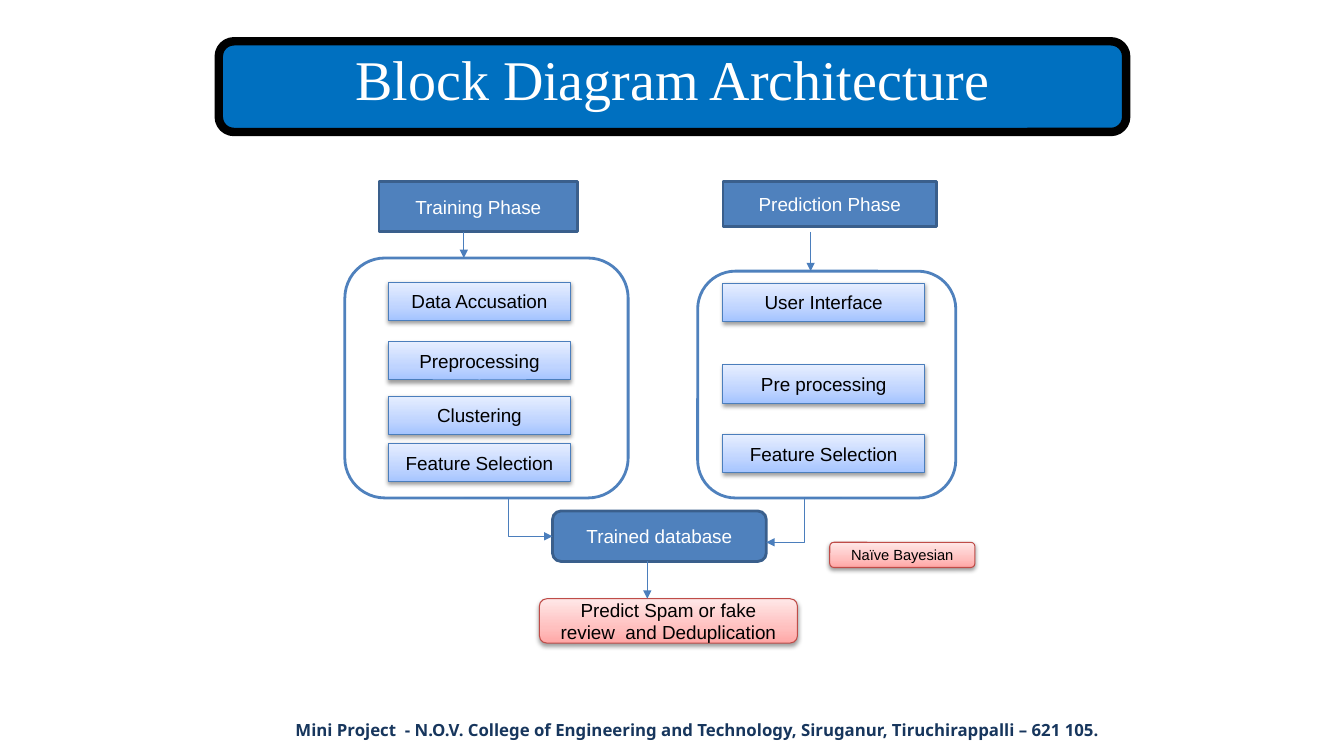
from lxml import etree
from pptx import Presentation
from pptx.dml.color import RGBColor
from pptx.enum.shapes import MSO_CONNECTOR, MSO_SHAPE
from pptx.enum.text import MSO_ANCHOR, PP_ALIGN
from pptx.oxml import parse_xml
from pptx.oxml.ns import nsdecls, qn
from pptx.util import Inches, Pt

RECT = MSO_SHAPE.RECTANGLE
ROUNDED = MSO_SHAPE.ROUNDED_RECTANGLE
STRAIGHT = MSO_CONNECTOR.STRAIGHT
ELBOW = MSO_CONNECTOR.ELBOW
CENTER = PP_ALIGN.CENTER
MIDDLE = MSO_ANCHOR.MIDDLE

WHITE, BLACK = "FFFFFF", "000000"
BLUE, BLUE_EDGE, STEP_EDGE = "4F81BD", "3A5F8C", "4B7EBC"
RED_EDGE, TITLE_BLUE, NAVY = "BF4C48", "0070C0", "17365D"
STEP_BLUES = ("A4C4FF", "BFD4FF", "E6EEFF")
RESULT_REDS = ("FFA6A5", "FFC0BF", "FFE7E7")
STOPS = (0, 35, 100)
STEP_HEIGHT = 0.38


def rgb(value):
    """Turn a hex string into a colour."""
    return RGBColor.from_string(value)


def write(frame, text, size, color, font="Arial", bold=False):
    """Put one centred paragraph in a text frame."""
    frame.word_wrap = True
    frame.vertical_anchor = MIDDLE
    frame.text = text
    paragraph = frame.paragraphs[0]
    paragraph.alignment = CENTER
    for run in paragraph.runs:
        run.font.name = font
        run.font.size = Pt(size)
        run.font.bold = bold
        run.font.color.rgb = rgb(color)
    return paragraph


def add_block(slide, box, kind, fill, edge, width):
    """Draw a flat outlined block."""
    block = slide.shapes.add_shape(kind, *map(Inches, box))
    block.shadow.inherit = False
    block.fill.solid()
    block.fill.fore_color.rgb = rgb(fill)
    block.line.color.rgb = rgb(edge)
    block.line.width = Pt(width)
    return block


def add_phase(slide, box, kind, text):
    """Draw a solid blue block with white text."""
    block = add_block(slide, box, kind, BLUE, BLUE_EDGE, 2)
    write(block.text_frame, text, 13.5, WHITE)


def add_glossy(slide, box, kind, text, colors, edge, size=13.5):
    """Draw a block with an upward gradient and a soft shadow."""
    block = add_block(slide, box, kind, colors[0], edge, 0.75)
    block.fill.gradient()
    block.fill.gradient_angle = 90
    properties = block._element.spPr
    stops = properties.find(qn("a:gradFill")).find(qn("a:gsLst"))
    for stop in list(stops):
        stops.remove(stop)
    for position, color in zip(STOPS, colors):
        stops.append(parse_xml(
            f'<a:gs {nsdecls("a")} pos="{position * 1000}">'
            f'<a:srgbClr val="{color}"/></a:gs>'))
    properties.find(qn("a:effectLst")).append(parse_xml(
        f'<a:outerShdw {nsdecls("a")} blurRad="{Pt(3.1)}" dist="{Pt(1.6)}" '
        'dir="5400000" rotWithShape="0"><a:srgbClr val="000000">'
        '<a:alpha val="38000"/></a:srgbClr></a:outerShdw>'))
    write(block.text_frame, text, size, BLACK)


def add_arrow(slide, kind, start, end):
    """Connect two points with a triangle at the end."""
    arrow = slide.shapes.add_connector(kind, *map(Inches, start + end))
    arrow.line.color.rgb = rgb(STEP_EDGE)
    arrow.line.width = Pt(0.75)
    etree.SubElement(arrow.line._get_or_add_ln(), qn("a:tailEnd"), type="triangle")
    etree.SubElement(arrow._element.spPr, qn("a:effectLst"))


def add_title(slide, box):
    """Draw the title banner."""
    left, top, width, height = box
    add_block(slide, box, ROUNDED, TITLE_BLUE, BLACK, 6)
    title = slide.shapes.add_textbox(
        *map(Inches, (left, top - 0.04, width, height)))
    heading = write(title.text_frame, "Block Diagram Architecture", 40, WHITE,
                    "Times New Roman")
    heading.line_spacing = 0.9


def add_column(slide, box, header, name, arrow_x, step_left, step_width, steps):
    """Draw a phase header, its panel and the steps at offsets in the panel."""
    left, top, _, _ = box
    add_phase(slide, header, RECT, name)
    add_block(slide, box, ROUNDED, WHITE, BLUE, 2)
    for offset, step in steps:
        step_box = (left + step_left, top + offset, step_width, STEP_HEIGHT)
        add_glossy(slide, step_box, RECT, step, STEP_BLUES, STEP_EDGE)
    add_arrow(slide, STRAIGHT, (left + arrow_x, 2.3), (left + arrow_x, top))


def add_outcome(slide, box):
    """Draw the database, its inputs, the classifier and the prediction."""
    left, top, width, height = box
    right, bottom = left + width, top + height
    panel_bottom = top - 0.13
    add_phase(slide, box, ROUNDED, "Trained database")
    add_glossy(slide, (left - 0.13, bottom + 0.37, 2.56, 0.44), ROUNDED,
               "Predict Spam or fake review  and Deduplication",
               RESULT_REDS, RED_EDGE)
    add_glossy(slide, (right + 0.63, top + 0.31, 1.44, 0.25), ROUNDED,
               "Naïve Bayesian", RESULT_REDS, RED_EDGE, 10.5)
    add_arrow(slide, ELBOW, (left - 0.88, panel_bottom), (left, top + 0.25))
    add_arrow(slide, ELBOW, (right + 0.75, panel_bottom), (right, top + 0.31))
    add_arrow(slide, STRAIGHT, (left + 0.94, bottom), (left + 0.94, bottom + 0.37))


def add_footer(slide, box):
    """Write the project line at the foot of the slide."""
    footer = slide.shapes.add_textbox(*map(Inches, box))
    write(footer.text_frame,
          "Mini Project  - N.O.V. College of Engineering and Technology, "
          "Siruganur, Tiruchirappalli – 621 105.", 12, NAVY, "Noto Sans", True)


def main():
    """Build the slide and save it."""
    deck = Presentation()
    deck.slide_width, deck.slide_height = Inches(13.33), Inches(7.5)
    slide = deck.slides.add_slide(deck.slide_layouts[6])
    add_title(slide, (2.17, 0.41, 9, 0.9))
    add_column(slide, (3.42, 2.56, 2.81, 2.38), (3.76, 1.8, 1.97, 0.5),
               "Training Phase", 1.18, 0.43, 1.81,
               [(0.24, "Data Accusation"), (0.83, "Preprocessing"),
                (1.37, "Clustering"), (1.84, "Feature Selection")])
    add_column(slide, (6.92, 2.69, 2.56, 2.25), (7.17, 1.8, 2.12, 0.45),
               "Prediction Phase", 1.12, 0.25, 2,
               [(0.12, "User Interface"), (0.93, "Pre processing"),
                (1.62, "Feature Selection")])
    add_outcome(slide, (5.48, 5.07, 2.12, 0.5))
    add_footer(slide, (2.32, 7.09, 9.19, 0.3))
    deck.save("out.pptx")


main()
